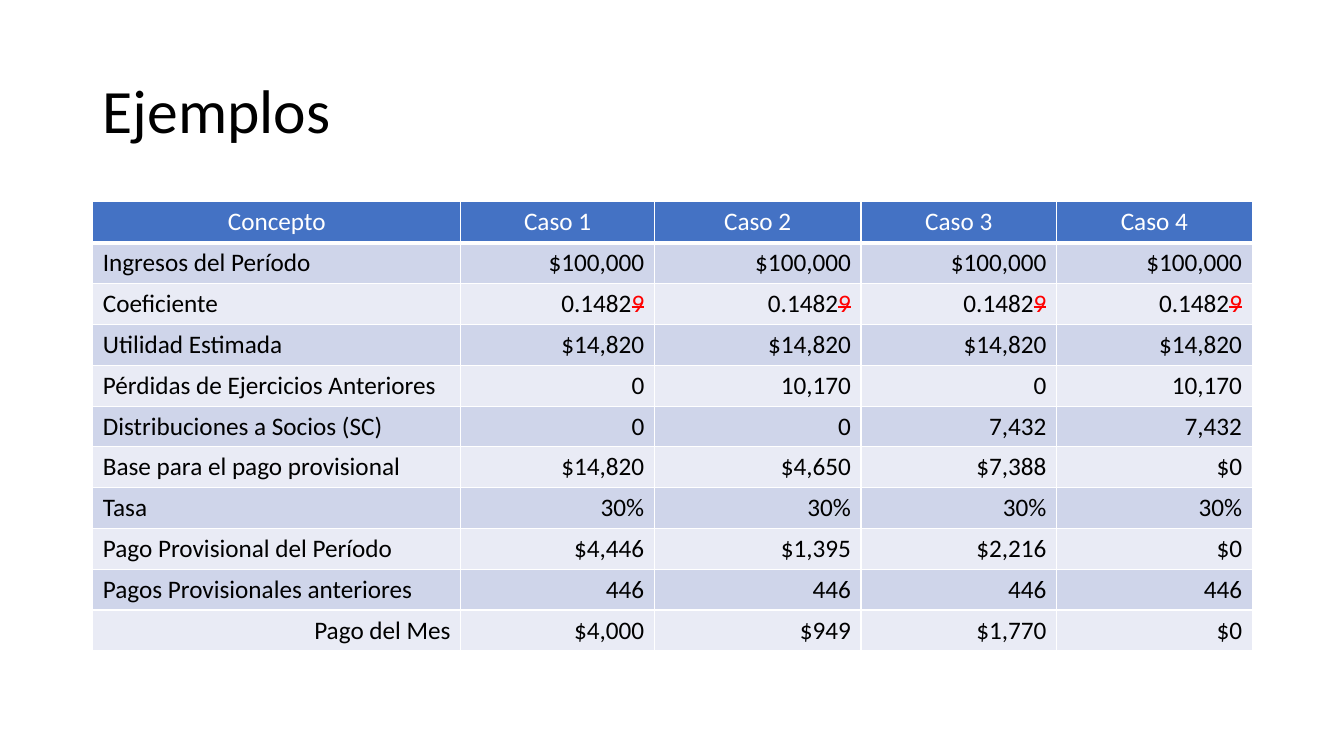
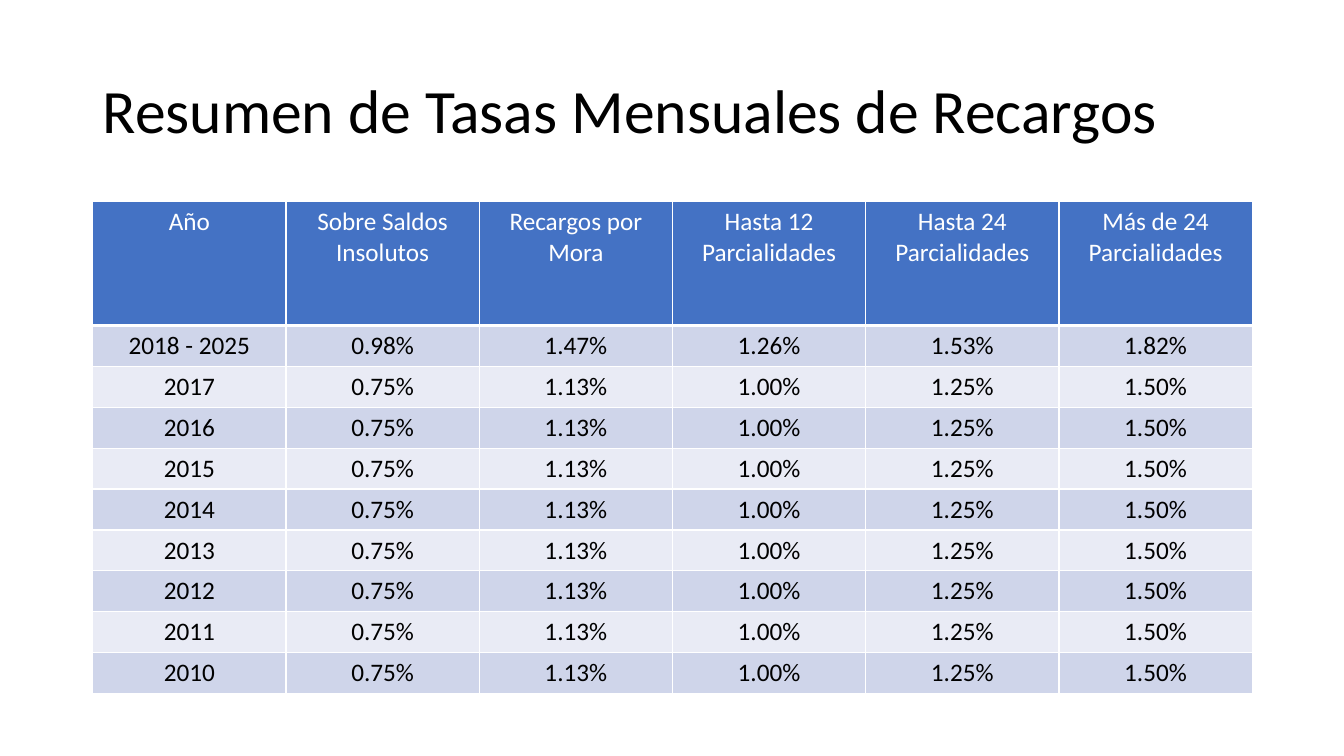
from dataclasses import dataclass

from lxml.etree import SubElement
from pptx import Presentation
from pptx.dml.color import RGBColor
from pptx.enum.text import MSO_ANCHOR, PP_ALIGN
from pptx.oxml.ns import qn
from pptx.util import Inches, Pt


@dataclass(frozen=True)
class Theme:
    font: str = "Calibri"
    title: int = 44
    body: int = 18
    ink: str = "000000"
    white: str = "FFFFFF"
    alert: str = "FF0000"
    head: str = "4472C4"
    bands: tuple = ("CFD5EA", "E9EBF5")
    thin: int = 1
    thick: int = 3


THEME = Theme()
LEFT, WIDTH = 0.92, 11.5
TITLE_BOX = (LEFT, 0.4, WIDTH, 1.45)
L, C, R = PP_ALIGN.LEFT, PP_ALIGN.CENTER, PP_ALIGN.RIGHT

COEF = ("0.1482", "9")
CASES = [
    ["Concepto", "Caso 1", "Caso 2", "Caso 3", "Caso 4"],
    ["Ingresos del Período"] + ["$100,000"] * 4,
    ["Coeficiente"] + [COEF] * 4,
    ["Utilidad Estimada"] + ["$14,820"] * 4,
    ["Pérdidas de Ejercicios Anteriores", "0", "10,170", "0", "10,170"],
    ["Distribuciones a Socios (SC)", "0", "0", "7,432", "7,432"],
    ["Base para el pago provisional", "$14,820", "$4,650", "$7,388", "$0"],
    ["Tasa"] + ["30%"] * 4,
    ["Pago Provisional del Período", "$4,446", "$1,395", "$2,216", "$0"],
    ["Pagos Provisionales anteriores"] + ["446"] * 4,
    ["Pago del Mes", "$4,000", "$949", "$1,770", "$0"],
]
RATES = [
    ["Año", "Sobre Saldos Insolutos", "Recargos por Mora",
     "Hasta 12 Parcialidades", "Hasta 24 Parcialidades",
     "Más de 24 Parcialidades"],
    ["2018 - 2025", "0.98%", "1.47%", "1.26%", "1.53%", "1.82%"],
    *([str(year), "0.75%", "1.13%", "1.00%", "1.25%", "1.50%"]
      for year in range(2017, 2009, -1)),
]


def add_run(para, text, size, color):
    run = para.add_run()
    run.text = text
    style = {"name": THEME.font, "size": Pt(size), "bold": False}
    for key, value in style.items():
        setattr(run.font, key, value)
    run.font.color.rgb = RGBColor.from_string(color)
    return run


def add_title(slide, box, text):
    frame = slide.shapes.add_textbox(*map(Inches, box)).text_frame
    frame.word_wrap = True
    frame.vertical_anchor = MSO_ANCHOR.MIDDLE
    para = frame.paragraphs[0]
    para.line_spacing = 0.9
    add_run(para, text, THEME.title, THEME.ink)


def add_edges(cell, base):
    """Rule all four sides in white, with its own width for the base."""
    props = cell._tc.get_or_add_tcPr()
    for side in "LRTB":
        width = base if side == "B" else THEME.thin
        line = SubElement(props, qn(f"a:ln{side}"), w=str(Pt(width)))
        fill = SubElement(line, qn("a:solidFill"))
        SubElement(fill, qn("a:srgbClr"), val=THEME.white)


def fill_cell(cell, value, align, is_head, band):
    """Write a cell; a pair holds plain text and its struck-out ending."""
    add_edges(cell, THEME.thick if is_head else THEME.thin)
    cell.fill.solid()
    cell.fill.fore_color.rgb = RGBColor.from_string(
        THEME.head if is_head else band)
    para = cell.text_frame.paragraphs[0]
    para.alignment = align
    plain, struck = value if isinstance(value, tuple) else (value, "")
    add_run(para, plain, THEME.body, THEME.white if is_head else THEME.ink)
    if struck:
        run = add_run(para, struck, THEME.body, THEME.alert)
        run._r.get_or_add_rPr().set("strike", "sngStrike")


def add_grid(slide, box, data, widths, head, align):
    """Place a banded table; align gives the side for a row and column."""
    count = len(data)
    table = slide.shapes.add_table(
        count, len(widths), *map(Inches, box)).table
    table.first_row = table.horz_banding = False
    for col, width in zip(table.columns, widths):
        col.width = Inches(width)
    step = (box[3] - head) / (count - 1)
    for i, values in enumerate(data):
        table.rows[i].height = Inches(step if i else head)
        for j, value in enumerate(values):
            fill_cell(table.cell(i, j), value, align(i, j),
                      i == 0, THEME.bands[(i - 1) % 2])


def case_side(row, col):
    if row == 0:
        return C
    return L if col == 0 and row < len(CASES) - 1 else R


def rate_side(row, col):
    return C


def add_page(deck, title, height, *grid):
    slide = deck.slides.add_slide(deck.slide_layouts[6])
    add_title(slide, TITLE_BOX, title)
    add_grid(slide, (LEFT, 2, WIDTH, height), *grid)


def main():
    deck = Presentation()
    deck.slide_width, deck.slide_height = Inches(13.33), Inches(7.5)
    add_page(deck, "Ejemplos", 4.46, CASES,
             [3.65, 1.92, 2.05, 1.94, 1.94], 0.41, case_side)
    add_page(deck, "Resumen de Tasas Mensuales de Recargos", 4.88, RATES,
             [WIDTH / 6] * 6, 1.23, rate_side)
    deck.save("out.pptx")


if __name__ == "__main__":
    main()
